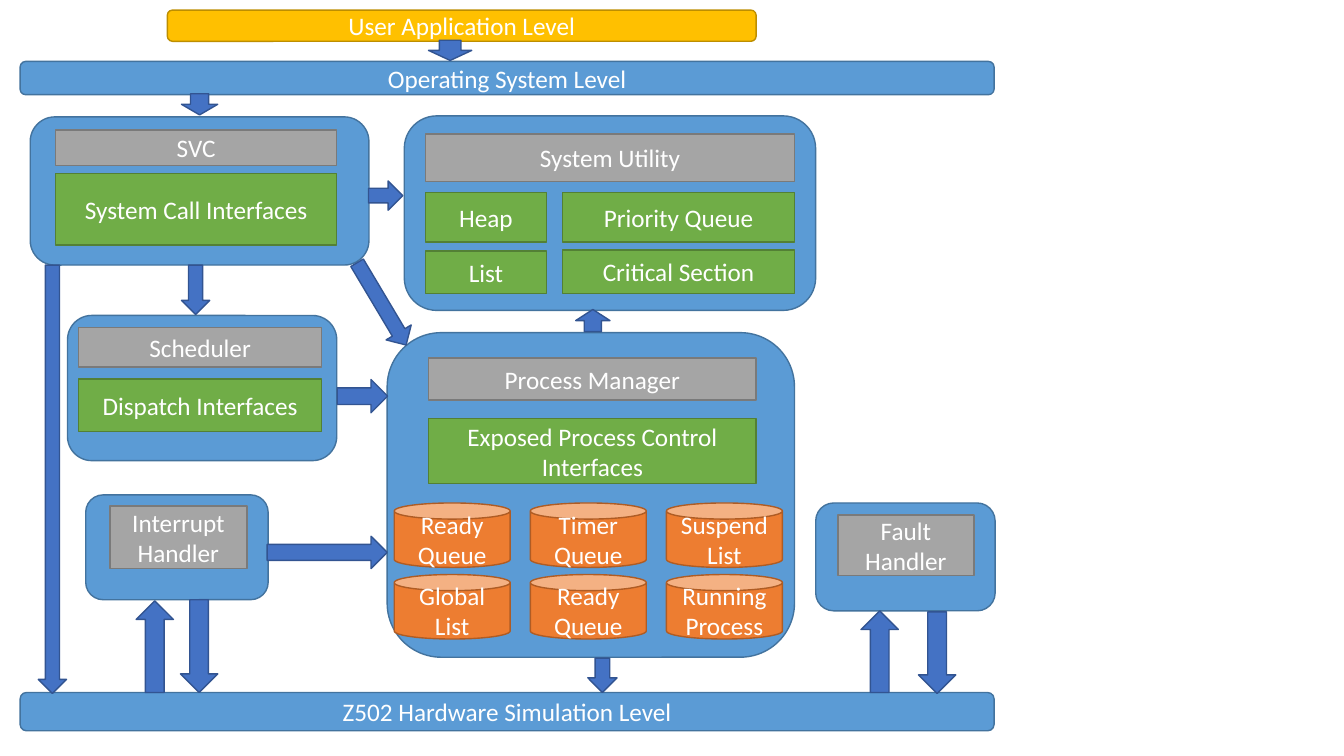
import dataclasses
import itertools
import pptx
import pptx.dml.color
import pptx.enum.shapes
import pptx.enum.text
import pptx.util

SHAPE = pptx.enum.shapes.MSO_SHAPE
UNIT = 0.1  # inches per grid column and grid row


@dataclasses.dataclass(frozen=True)
class Look:
    form: SHAPE
    fill: str
    line: str


@dataclasses.dataclass(frozen=True)
class Theme:
    font: str = "Calibri"
    size: int = 18
    text: str = "FFFFFF"
    edge: float = 1
    panel: Look = Look(SHAPE.ROUNDED_RECTANGLE, "5B9BD5", "43739E")
    user: Look = Look(SHAPE.ROUNDED_RECTANGLE, "FFC000", "BD8E00")
    head: Look = Look(SHAPE.RECTANGLE, "A5A5A5", "7A7A7A")
    call: Look = Look(SHAPE.RECTANGLE, "70AD47", "538035")
    store: Look = Look(SHAPE.CAN, "ED7D31", "AF5C24")
    down: Look = Look(SHAPE.DOWN_ARROW, "4472C4", "325491")
    right: Look = Look(SHAPE.RIGHT_ARROW, "4472C4", "325491")


@dataclasses.dataclass(frozen=True)
class Part:
    look: Look
    col: float
    row: float
    cols: float
    rows: float
    text: str = ""
    turn: float = 0


def grid(count: float) -> pptx.util.Inches:
    return pptx.util.Inches(count * UNIT)


def tint(code: str) -> pptx.dml.color.RGBColor:
    return pptx.dml.color.RGBColor.from_string(code)


def draw(slide, part: Part) -> None:
    place = map(grid, (part.col, part.row, part.cols, part.rows))
    shape = slide.shapes.add_shape(part.look.form, *place)
    shape.rotation = part.turn
    shape.shadow.inherit = False
    shape.fill.solid()
    shape.fill.fore_color.rgb = tint(part.look.fill)
    shape.line.color.rgb = tint(part.look.line)
    shape.line.width = pptx.util.Pt(THEME.edge)
    if part.text:
        label(shape.text_frame, part.text)


def label(frame, text: str) -> None:
    frame.word_wrap = True
    frame.vertical_anchor = pptx.enum.text.MSO_ANCHOR.MIDDLE
    line = frame.paragraphs[0]
    line.text = text
    line.alignment = pptx.enum.text.PP_ALIGN.CENTER
    line.font.name = THEME.font
    line.font.size = pptx.util.Pt(THEME.size)
    line.font.color.rgb = tint(THEME.text)


THEME = Theme()
panel, head, call, down = THEME.panel, THEME.head, THEME.call, THEME.down

# Levels across the slide
levels = [
    Part(THEME.user, 16.6, 1, 58.4, 3.1, "User Application Level"),
    Part(panel, 2, 6.1, 96.6, 3.3, "Operating System Level"),
    Part(panel, 2, 68.7, 96.6, 3.8, "Z502 Hardware Simulation Level"),
]

# Modules with their titles and interfaces
modules = [
    Part(panel, 3, 11.6, 33.6, 14.7),
    Part(head, 5.5, 12.9, 27.9, 3.5, "SVC"),
    Part(call, 5.5, 17.2, 27.9, 7.1, "System Call Interfaces"),
    Part(panel, 40.1, 11.5, 40.8, 19.3),
    Part(head, 42.2, 13.3, 36.6, 4.7, "System Utility"),
    Part(call, 42.2, 19.1, 12, 4.9, "Heap"),
    Part(call, 55.8, 19.1, 23, 4.9, "Priority Queue"),
    Part(call, 42.2, 24.9, 12, 4.2, "List"),
    Part(call, 55.8, 24.8, 23, 4.3, "Critical Section"),
    Part(panel, 6.7, 31.3, 26.7, 14.4),
    Part(head, 7.8, 32.5, 24.1, 3.9, "Scheduler"),
    Part(call, 7.8, 37.6, 24.1, 5.2, "Dispatch Interfaces"),
    Part(panel, 38.4, 33, 40.4, 32.2),
    Part(head, 42.5, 35.5, 32.5, 4.2, "Process Manager"),
    Part(call, 42.5, 41.5, 32.5, 6.5, "Exposed Process Control Interfaces"),
    Part(panel, 8.5, 49.1, 18.1, 10.4),
    Part(head, 10.9, 50.2, 13.6, 6.2, "Interrupt Handler"),
    Part(panel, 80.9, 49.9, 17.8, 10.7),
    Part(head, 83.1, 51.1, 13.5, 6, "Fault Handler"),
]

# Process stores in two rows of three
names = ["Ready Queue", "Timer Queue", "Suspend List",
         "Global List", "Ready Queue", "Running Process"]
stores = [
    Part(THEME.store, 39.1 + 13.5 * col, 49.9 + 7.1 * row, 11.5, 6.4, name)
    for (row, col), name in zip(itertools.product(range(2), range(3)), names)
]

# Arrows between levels and modules
arrows = [
    Part(down, 42.5, 4, 4.3, 2),
    Part(down, 18, 9.3, 3.6, 2.1),
    Part(down, 18, 26.3, 2.8, 4.9),
    Part(down, 3.8, 26.3, 2.8, 42.5),
    Part(down, 58.3, 65.3, 2.9, 3.4),
    Part(down, 17.9, 59.5, 3.7, 9.2),
    Part(down, 91.1, 60.7, 3.7, 8.1),
    Part(down, 13.5, 59.6, 3.7, 9.1, turn=180),
    Part(down, 85.4, 60.6, 3.7, 8.1, turn=180),
    Part(down, 57.1, 30.7, 3.4, 2.2, turn=180),
    Part(down, 36.8, 17.7, 2.9, 3.4, turn=270),
    Part(down, 34.3, 36.8, 3.3, 5, turn=270),
    Part(down, 36.4, 25.4, 2.9, 9.5, turn=329.2),
    Part(THEME.right, 26.5, 53.2, 11.9, 3.2),
]

# Slide
deck = pptx.Presentation()
deck.slide_width = pptx.util.Inches(13.33)
deck.slide_height = pptx.util.Inches(7.5)
slide = deck.slides.add_slide(deck.slide_layouts[6])
for part in levels + modules + stores + arrows:
    draw(slide, part)
deck.save("out.pptx")
